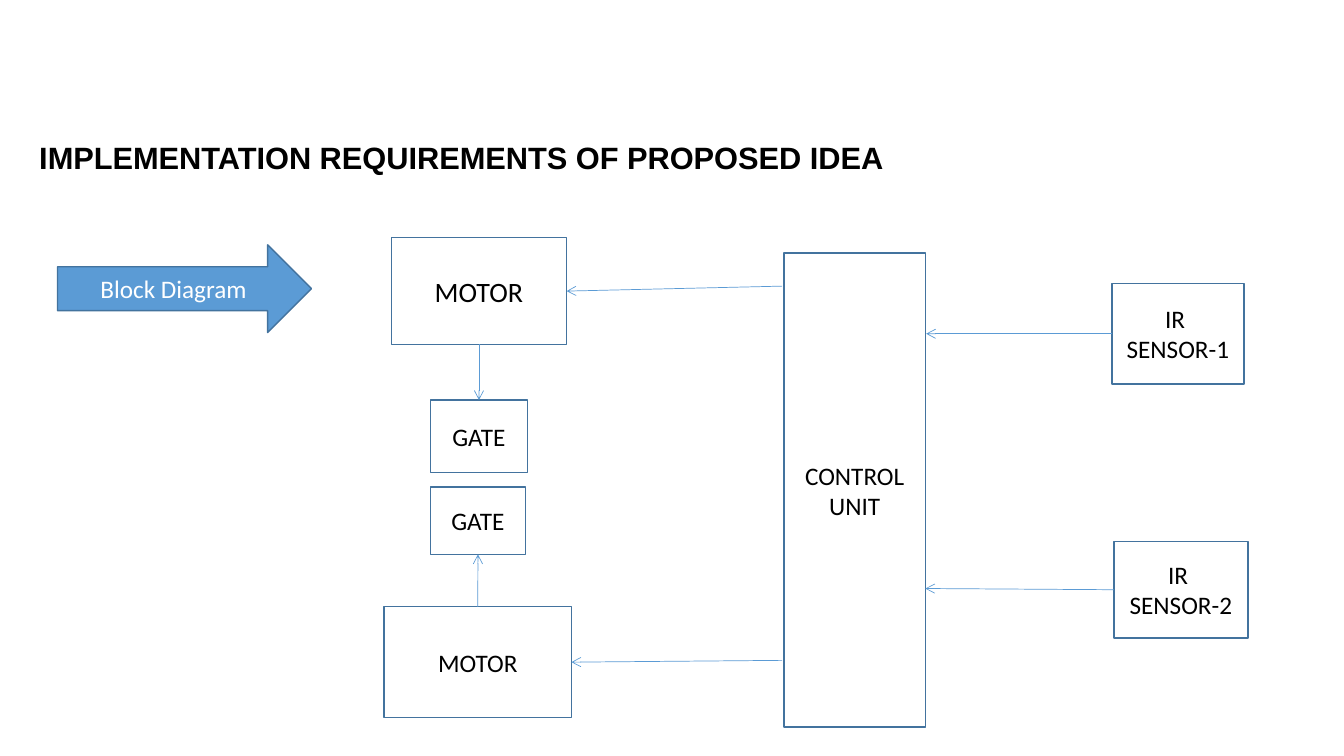
from lxml import etree
from pptx import Presentation
from pptx.dml.color import RGBColor
from pptx.enum import shapes, text
from pptx.oxml import ns
from pptx.util import Cm, Pt

BLACK = RGBColor(0x00, 0x00, 0x00)
WHITE = RGBColor(0xFF, 0xFF, 0xFF)
BLUE = RGBColor(0x5B, 0x9B, 0xD5)
DARK_BLUE = RGBColor(0x43, 0x73, 0x9E)

TOP, LEFT, BOTTOM, RIGHT = range(4)

# Content: lengths in centimetres (left, top, width, height)
TITLE = ("IMPLEMENTATION REQUIREMENTS OF PROPOSED IDEA", (0.74, 3.4, 30.86, 1.14))
LABEL = ("Block Diagram", (1.45, 6.17, 6.4, 2.21))

BLOCKS = {
    "upper motor": (["MOTOR"], (9.86, 5.99, 4.42, 2.69), 20),
    "controller": (["CONTROL", "UNIT"], (19.76, 6.38, 3.56, 11.94), 18),
    "upper gate": (["GATE"], (10.85, 10.08, 2.44, 1.83), 18),
    "lower gate": (["GATE"], (10.85, 12.27, 2.39, 1.7), 18),
    "lower motor": (["MOTOR"], (9.68, 15.29, 4.72, 2.79), 18),
    "sensor 1": (["IR ", "SENSOR-1"], (28.02, 7.14, 3.33, 2.54), 18),
    "sensor 2": (["IR ", "SENSOR-2"], (28.07, 13.64, 3.38, 2.44), 18),
}

# Each end is (block, side), or a point along the controller's long edge
ARROWS = [
    ((19.71, 7.21), ("upper motor", RIGHT)),
    (("upper motor", BOTTOM), ("upper gate", TOP)),
    (("lower motor", TOP), ("lower gate", BOTTOM)),
    ((19.71, 16.64), ("lower motor", RIGHT)),
    (("sensor 1", LEFT), (23.34, 8.41)),
    (("sensor 2", LEFT), (23.32, 14.83)),
]


def write(shape, lines, font="Calibri", size=18, color=BLACK, bold=False,
          align=text.PP_ALIGN.CENTER):
    frame = shape.text_frame
    frame.word_wrap = True
    frame.vertical_anchor = text.MSO_ANCHOR.MIDDLE
    for index, line in enumerate(lines):
        para = frame.add_paragraph() if index else frame.paragraphs[0]
        para.alignment = align
        span = para.add_run()
        span.text = line
        span.font.name = font
        span.font.size = Pt(size)
        span.font.bold = bold
        span.font.color.rgb = color


def add_block(page, kind, place, fill):
    box = page.shapes.add_shape(kind, *map(Cm, place))
    box.shadow.inherit = False
    box.fill.solid()
    box.fill.fore_color.rgb = fill
    box.line.color.rgb = DARK_BLUE
    box.line.width = Pt(1)
    return box


def add_arrow(page, boxes, start, end):
    # Free ends keep their point; joined ends move to the block's side
    points = [(0, 0) if point[0] in boxes else point for point in (start, end)]
    arrow = page.shapes.add_connector(
        shapes.MSO_CONNECTOR.STRAIGHT, *(Cm(v) for point in points for v in point))
    for point, connect in ((start, arrow.begin_connect), (end, arrow.end_connect)):
        if point[0] in boxes:
            connect(boxes[point[0]], point[1])
    arrow.line.color.rgb = BLUE
    arrow.line.width = Pt(0.5)
    line = arrow.line._get_or_add_ln()
    etree.SubElement(line, ns.qn("a:tailEnd"), type="arrow")
    etree.SubElement(arrow._element.spPr, ns.qn("a:effectLst"))


def main():
    deck = Presentation()
    deck.slide_width, deck.slide_height = Cm(33.87), Cm(19.05)
    page = deck.slides.add_slide(deck.slide_layouts[6])

    # Heading and label
    words, place = TITLE
    title = page.shapes.add_textbox(*map(Cm, place))
    write(title, [words], font="Arial", size=22, bold=True, align=text.PP_ALIGN.LEFT)
    words, place = LABEL
    label = add_block(page, shapes.MSO_SHAPE.RIGHT_ARROW, place, BLUE)
    write(label, [words], color=WHITE)

    # Block diagram
    boxes = {}
    for name, (lines, place, size) in BLOCKS.items():
        boxes[name] = add_block(page, shapes.MSO_SHAPE.RECTANGLE, place, WHITE)
        write(boxes[name], lines, size=size)
    for start, end in ARROWS:
        add_arrow(page, boxes, start, end)

    deck.save("out.pptx")


if __name__ == "__main__":
    main()
